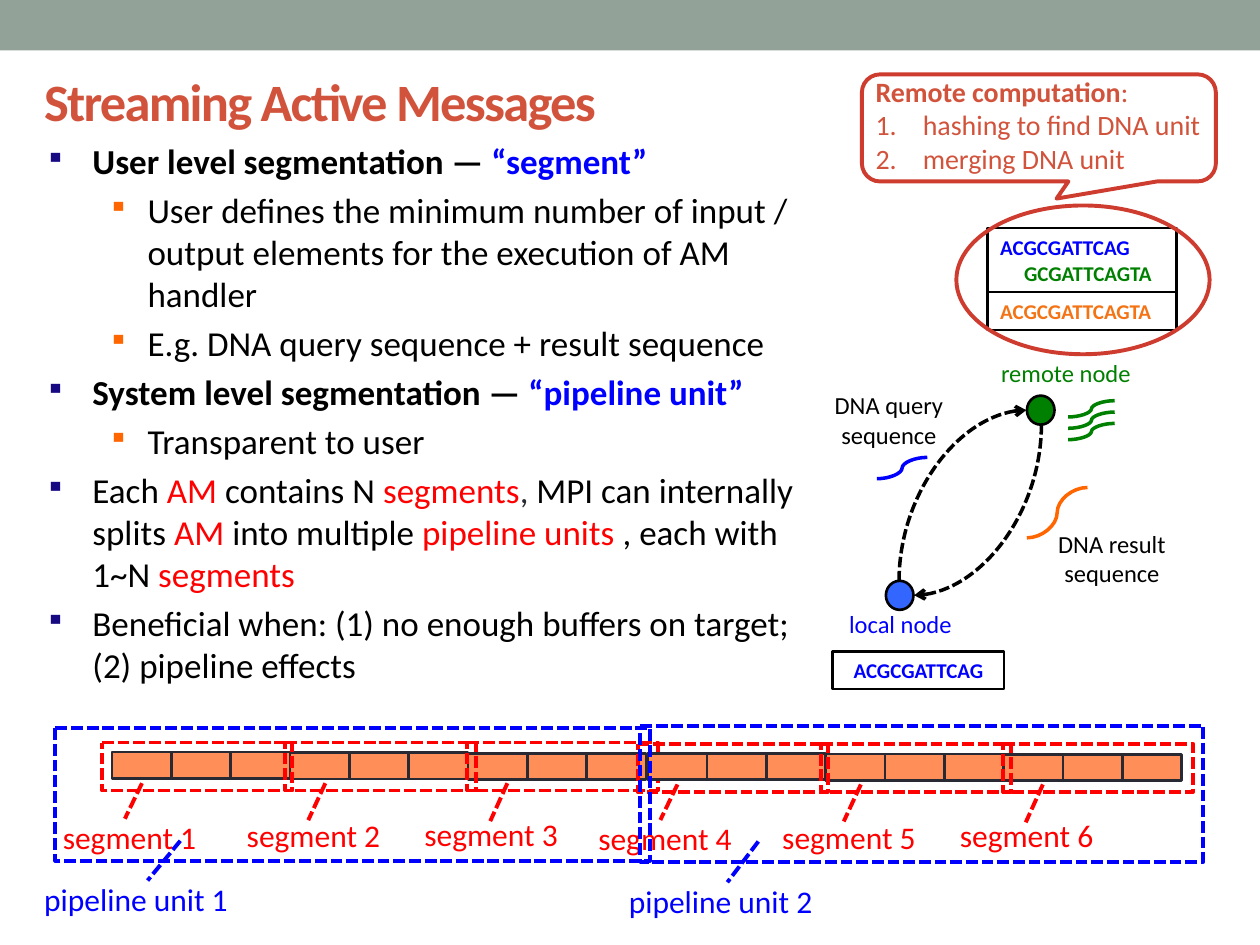
import pptx
import pptx.chart.data
import pptx.dml.color
import pptx.enum.dml
import pptx.enum.shapes
import pptx.enum.text
import pptx.oxml
import pptx.oxml.ns
import pptx.util

Pt = pptx.util.Pt
KIND = pptx.enum.shapes.MSO_SHAPE
ALIGN = pptx.enum.text.PP_ALIGN
ANCHOR = pptx.enum.text.MSO_ANCHOR
qn = pptx.oxml.ns.qn
HUE = {
    "bar": "93A299", "title": "D2533C", "ring": "CD3C2E", "black": "000000",
    "blue": "0000FF", "red": "FF0000", "green": "008000", "orange": "FF6600",
    "dna": "F37315", "node": "3366FF", "cell": "FF8E59", "dark": "292934",
    "navy": "170981",
}


def tint(name):
    """Return the named colour."""
    return pptx.dml.color.RGBColor.from_string(HUE[name])


def child(parent, tag, **attrs):
    """Append an XML element with attributes."""
    node = pptx.oxml.parse_xml(f"<{tag} {pptx.oxml.ns.nsdecls('a')}/>")
    for key, value in attrs.items():
        node.set(key, value)
    parent.append(node)
    return node


def say(frame, runs, size=14, bold=False, align=ALIGN.LEFT, gap=0,
        left=0, hang=0, mark=None, hue=None, track=None):
    """Add a paragraph of (text, colour) runs to a frame."""
    para = frame.paragraphs[0] if not frame.text else frame.add_paragraph()
    para.alignment = align
    para.space_before = Pt(gap)
    props = para._p.get_or_add_pPr()
    props.set("marL", str(Pt(left)))
    props.set("indent", str(Pt(-hang)))
    if mark == "1":
        child(props, "a:buAutoNum", type="arabicPeriod")
    elif mark:
        child(child(props, "a:buClr"), "a:srgbClr", val=HUE[hue])
        child(props, "a:buSzPct", val="80000")
        child(props, "a:buChar", char=mark)
    for text, color, *heavy in runs:
        run = para.add_run()
        run.text = text
        run.font.name = "Calibri"
        run.font.size = Pt(size)
        run.font.bold = heavy[0] if heavy else bold
        run.font.color.rgb = tint(color)
        if track:
            run._r.get_or_add_rPr().set("spc", str(track))


def area(slide, x, y, w, h, wrap=True):
    """Add a text box and return its frame."""
    frame = slide.shapes.add_textbox(Pt(x), Pt(y), Pt(w), Pt(h)).text_frame
    frame.word_wrap = wrap
    return frame


def stroke(line, color, width, dash=False):
    """Format a line."""
    line.color.rgb = tint(color)
    line.width = Pt(width)
    if dash:
        line.dash_style = pptx.enum.dml.MSO_LINE.SQUARE_DOT


def form(slide, kind, x, y, w, h, fill=None, line=None, width=1.5, dash=False, adj=()):
    """Add a preset shape."""
    shape = slide.shapes.add_shape(kind, Pt(x), Pt(y), Pt(w), Pt(h))
    shape.shadow.inherit = False
    for place, value in enumerate(adj):
        shape.adjustments[place] = value
    if fill:
        shape.fill.solid()
        shape.fill.fore_color.rgb = tint(fill)
    else:
        shape.fill.background()
    if line:
        stroke(shape.line, line, width, dash)
    else:
        shape.line.fill.background()
    return shape


def curve(slide, x, y, to_x, to_y, color, arc=False):
    """Add an S curve, or a dashed quarter arc with an arrowhead."""
    link = slide.shapes.add_connector(
        pptx.enum.shapes.MSO_CONNECTOR.CURVE, Pt(x), Pt(y), Pt(to_x), Pt(to_y))
    stroke(link.line, color, 2, arc)
    props = link.element.spPr
    child(props, "a:effectLst")
    if arc:
        props.find(qn("a:xfrm")).set("rot", "5400000")
        props.find(qn("a:prstGeom")).set("prst", "curvedConnector2")
        child(props.find(qn("a:ln")), "a:tailEnd", type="arrow")


def head(slide, x, y, w, h):
    """Place the title."""
    title = slide.shapes.title
    title.left, title.top, title.width, title.height = Pt(x), Pt(y), Pt(w), Pt(h)
    title.text_frame.vertical_anchor = ANCHOR.MIDDLE
    say(title.text_frame, [("Streaming Active Messages", "title")],
        size=30, bold=True, track=-100)


def body(slide, x, y, w, h):
    """Place the bulleted text."""
    frame = area(slide, x, y, w, h)
    items = [
        (0, True, [("User level segmentation — ", "black"), ("“segment”", "blue")]),
        (1, False, [("User defines the minimum number of input / output elements "
                     "for the execution of AM handler", "black")]),
        (1, False, [("E.g. DNA query sequence + result sequence", "black")]),
        (0, True, [("System level segmentation — ", "black"), ("“pipeline unit”", "blue")]),
        (1, False, [("Transparent to user", "black")]),
        (0, False, [("Each ", "black"), ("AM ", "red"), ("contains N ", "black"),
                    ("segments", "red"), (", ", "dark"),
                    ("MPI can internally splits ", "black"), ("AM ", "red"),
                    ("into multiple ", "black"), ("pipeline units ", "red"),
                    (", each with 1~N ", "black"), ("segments", "red")]),
        (0, False, [("Beneficial when: (1) no enough buffers on target; "
                     "(2) pipeline effects", "black")]),
    ]
    for place, (level, bold, runs) in enumerate(items):
        left, hang, hue = [(27, 27, "navy"), (58.5, 22.5, "orange")][level]
        say(frame, runs, size=20, bold=bold, gap=4 if place else 0,
            left=left, hang=hang, mark="▪", hue=hue)


def strip(slide, x, y, first):
    """Place nine cells and their three labelled segments."""
    for place in range(9):
        form(slide, KIND.RECTANGLE, x + 33.9 * place, y + place // 3 * 0.3,
             33.9, 15.1, "cell", "dark")
    for place, (shift, reach) in enumerate([(0, 1.59), (104.8, 1.62), (208.8, 1.64)]):
        form(slide, KIND.LINE_CALLOUT_1, x - 5.8 + shift, y - 5.5, 108.7, 27.4,
             line="red", width=2.25, dash=True, adj=(0.85, 0.21, reach, 0.12))
    for place, shift in enumerate([0, 105.1, 206.6]):
        frame = area(slide, x - 35.3 + shift, y + 33.9 - 0.7 * place, 136.8, 28.8)
        say(frame, [(f"segment {first + place}", "red")], size=18)


def unit(slide, x, y, w, h, number):
    """Place a pipeline unit frame and its label."""
    form(slide, KIND.LINE_CALLOUT_1, x, y, w, h, line="blue", width=2.25,
         dash=True, adj=(0.85, 0.21, 1.15, 0.155))
    frame = area(slide, x - 13.5, y + h + 7.7, 136.8, 28.8)
    say(frame, [(f"pipeline unit {number}", "blue")], size=18)


def graph(slide, x, y):
    """Place the two nodes with their messages."""
    curve(slide, x + 143, y + 119.7, x + 45.1, y + 47, "black", True)
    curve(slide, x + 53.8, y + 54.9, x + 151.7, y + 127.6, "black", True)
    for left, top, fill in [(50.2, 131.9, "node"), (130.8, 26.1, "green")]:
        form(slide, KIND.OVAL, x + left, y + top, 15.8, 16.6, fill, "black")
    curve(slide, x + 130.8, y + 107.4, x + 165.4, y + 78.6, "orange")
    curve(slide, x + 45.1, y + 73.6, x + 73.9, y + 61.4, "blue")
    for row in range(3):
        top = y + 38.3 + 6.5 * row
        curve(slide, x + 154.4, top, x + 181, top - 9.3, "green")
    labels = [
        (22.1, 144.2, 98.6, 24.5, "local node", "blue", ALIGN.LEFT),
        (99.1, 0.9, 108, 24.5, "remote node", "green", ALIGN.CENTER),
        (0.5, 19.6, 103, 41, "DNA query sequence", "black", ALIGN.CENTER),
        (127.9, 98.8, 103, 41, "DNA result sequence", "black", ALIGN.CENTER),
    ]
    for left, top, w, h, text, color, align in labels:
        say(area(slide, x + left, y + top, w, h), [(text, color)], align=align)
    local = form(slide, KIND.RECTANGLE, x + 19.9, y + 172.2, 97.9, 21.6, line="black")
    say(local.text_frame, [("ACGCGATTCAG", "blue")], size=12, bold=True, align=ALIGN.CENTER)


def merge(slide, x, y, w, h):
    """Place the ringed sequences being merged."""
    pair = form(slide, KIND.RECTANGLE, x + 18, y + 13, 108, 36.5, line="black").text_frame
    say(pair, [("ACGCGATTCAG", "blue")], size=12, bold=True)
    say(pair, [("GCGATTCAGTA", "green")], size=12, bold=True, left=13.6)
    total = form(slide, KIND.RECTANGLE, x + 18, y + 49.6, 108, 21.6, line="black")
    say(total.text_frame, [("ACGCGATTCAGTA", "dna")], size=12, bold=True)
    form(slide, KIND.OVAL, x, y, w, h, line="ring", width=2.25)


def note(slide, x, y, w, h):
    """Place the callout on remote computation."""
    form(slide, KIND.ROUNDED_RECTANGULAR_CALLOUT, x, y, w, h,
         line="ring", width=2.25, adj=(0.05, 0.66, 0.17))
    frame = area(slide, x + 0.7, y - 3.6, w, h + 4.3, wrap=False)
    say(frame, [("Remote computation", "title", True), (":", "title")], size=16)
    for text in ("hashing to find DNA unit", "merging DNA unit"):
        say(frame, [(text, "title")], size=16, left=27, hang=27, mark="1")


def main():
    """Build and save the slide."""
    deck = pptx.Presentation()
    deck.slide_width, deck.slide_height = Pt(720), Pt(540)
    slide = deck.slides.add_slide(deck.slide_layouts[5])
    form(slide, KIND.RECTANGLE, 0, 0, 720, 28.8, "bar")
    head(slide, 18, 26.6, 658.8, 61.2)
    body(slide, 18.7, 76.3, 454.3, 321.1)
    strip(slide, 64.1, 429.8, 1)
    strip(slide, 370.1, 430.5, 4)
    unit(slide, 31.7, 416.2, 339.8, 75.6, 1)
    unit(slide, 365.8, 414.7, 321.8, 77.8, 2)
    graph(slide, 456, 200)
    merge(slide, 546.5, 117.4, 144.7, 85)
    note(slide, 492.5, 42.5, 202.3, 61.2)
    deck.save("out.pptx")


if __name__ == "__main__":
    main()
